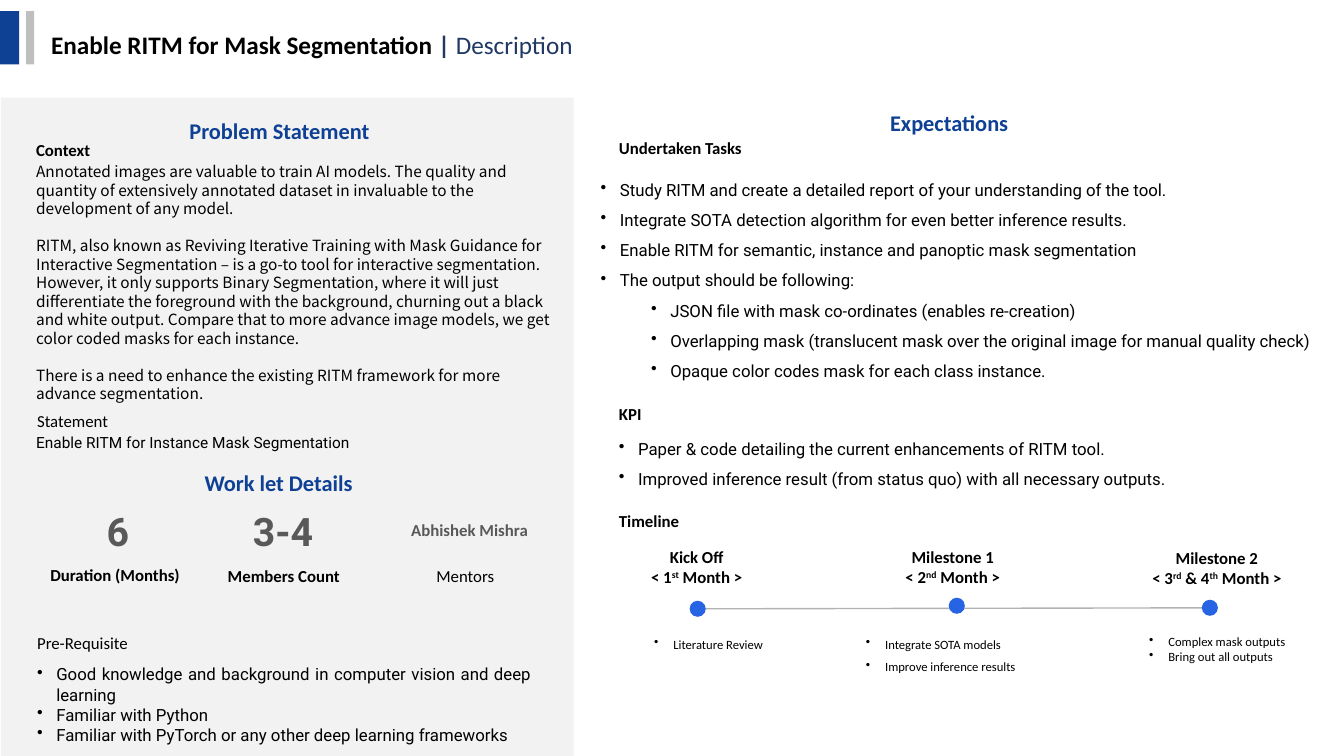
from dataclasses import dataclass

from lxml import etree
from pptx import Presentation
from pptx import util as u
from pptx.dml.color import RGBColor
from pptx.enum import shapes, text
from pptx.oxml.ns import qn


@dataclass(frozen=True)
class Theme:
    """Colours, fonts and type sizes of the slide."""
    blue: str = "0E4094"
    navy: str = "203864"
    dot: str = "2664E3"
    black: str = "000000"
    figure: str = "595959"
    panel: str = "F2F2F2"
    bar: str = "BFBFBF"
    rule: str = "B2B2B2"
    main: str = "Calibri"
    body: str = "Roboto"
    context: str = "Noto Sans CJK KR"
    title: int = 18
    heading: int = 16
    big: int = 28
    normal: int = 12
    small: int = 11
    note: int = 9
    context_line: float = 13.25


T = Theme()


def style(font, size=T.normal, name=T.main, color=T.black, bold=False):
    """Set the look of a paragraph or run font."""
    font.size, font.name, font.bold = u.Pt(size), name, bold
    font.color.rgb = RGBColor.from_string(color)


def add_block(slide, box, dx, dy, w, h, kind=shapes.MSO_SHAPE.RECTANGLE, fill=T.panel):
    """Draw a plain filled shape at an offset inside box."""
    sp = slide.shapes.add_shape(kind, u.Inches(box[0] + dx), u.Inches(box[1] + dy),
                                u.Inches(w), u.Inches(h))
    sp.shadow.inherit = False
    sp.fill.solid()
    sp.fill.fore_color.rgb = RGBColor.from_string(fill)
    sp.line.fill.background()
    return sp


def add_text(slide, box, dx, dy, w, h, lines, wrap=True, align=None, **look):
    """Place a text box at an offset inside box, one paragraph per line.

    A line is a string or a list of (text, is_superscript) runs."""
    sp = slide.shapes.add_textbox(u.Inches(box[0] + dx), u.Inches(box[1] + dy),
                                  u.Inches(w), u.Inches(h))
    tf = sp.text_frame
    tf.word_wrap = wrap
    tf.auto_size = text.MSO_AUTO_SIZE.SHAPE_TO_FIT_TEXT
    for i, line in enumerate(lines):
        p = tf.add_paragraph() if i else tf.paragraphs[0]
        p.alignment = align
        style(p.font, **look)
        for words, raised in [(line, False)] if isinstance(line, str) else line:
            r = p.add_run()
            r.text = words
            style(r.font, **look)
            if raised:
                r.font._element.set("baseline", "30000")
    return tf


def add_bullets(slide, box, dx, dy, w, h, items, spacing=None, nested=(), **look):
    """Place a bulleted list; items at the nested indexes go one level deeper."""
    tf = add_text(slide, box, dx, dy, w, h, items, **look)
    for i, p in enumerate(tf.paragraphs):
        p.level = int(i in nested)
        if spacing:
            p.line_spacing = spacing
        pPr = p._p.get_or_add_pPr()
        pPr.set("marL", str(u.Inches(0.19 + 0.5 * p.level)))
        pPr.set("indent", str(u.Inches(-0.19)))
        bullet = etree.Element(qn("a:buChar"), char="•")
        pPr.find(qn("a:defRPr")).addprevious(bullet)


def add_heading(slide, box, dx, dy, w, words):
    """Place a blue section heading."""
    add_text(slide, box, dx, dy, w, 0.37, [words], wrap=False,
             size=T.heading, color=T.blue, bold=True)


def add_label(slide, box, dx, dy, w, words, wrap=False, bold=True, color=T.black):
    """Place a one-line label."""
    add_text(slide, box, dx, dy, w, 0.3, [words], wrap=wrap, bold=bold, color=color)


def build_header(slide, box):
    """Two accent bars and the slide title."""
    add_block(slide, box, 0, 0, 0.19, box[3], fill=T.blue)
    add_block(slide, box, 0.26, 0, 0.08, box[3], fill=T.bar)
    tf = add_text(slide, box, 0.41, 0.13, 11.2, 0.4,
                  ["Enable RITM for Mask Segmentation "], size=T.title, bold=True)
    tf.vertical_anchor = text.MSO_ANCHOR.MIDDLE
    for words, bold in (("|", True), (" Description", False)):
        r = tf.paragraphs[0].add_run()
        r.text = words
        style(r.font, T.title, color=T.navy, bold=bold)


def build_problem(slide, box):
    """Problem statement: context and statement."""
    add_heading(slide, box, 1.77, 0.14, 2.18, "Problem Statement")
    add_label(slide, box, 0.25, 0.37, 0.8, "Context")
    tf = add_text(slide, box, 0.25, 0.59, 5.3, 2.5, [
        "Annotated images are valuable to train AI models. The quality and quantity of "
        "extensively annotated dataset in invaluable to the development of any model.",
        "RITM, also known as Reviving Iterative Training with Mask Guidance for Interactive "
        "Segmentation – is a go-to tool for interactive segmentation. However, it only "
        "supports Binary Segmentation, where it will just differentiate the foreground with "
        "the background, churning out a black and white output. Compare that to more advance "
        "image models, we get color coded masks for each instance.",
        "There is a need to enhance the existing RITM framework for more advance segmentation.",
    ], size=T.small, name=T.context)
    for i, p in enumerate(tf.paragraphs):
        p.line_spacing = u.Pt(T.context_line)
        p.space_before = u.Pt(T.context_line if i else 0)
    add_label(slide, box, 0.26, 3.06, 5.3, "Statement", wrap=True, bold=False)
    add_text(slide, box, 0.25, 3.28, 5.28, 0.29,
             ["Enable RITM for Instance Mask Segmentation"], size=T.small, name=T.body)


def build_details(slide, box):
    """Worklet details: key figures, mentor and prerequisites."""
    add_heading(slide, box, 1.92, 0, 1.82, "Work let Details")
    for dx, w, figure in ((0.95, 0.42, "6"), (2.4, 0.8, "3-4")):
        add_text(slide, box, dx, 0.37, w, 0.57, [figure], wrap=False,
                 size=T.big, name=T.body, color=T.figure, bold=True)
    add_label(slide, box, 3.97, 0.5, 1.46, "Abhishek Mishra", color=T.figure)
    add_label(slide, box, 0.39, 0.94, 1.58, "Duration (Months)")
    add_label(slide, box, 2.15, 0.95, 1.39, "Members Count")
    add_label(slide, box, 4.22, 0.95, 1.14, "Mentors", wrap=True, bold=False)
    add_label(slide, box, 0.26, 1.62, 5.3, "Pre-Requisite", wrap=True, bold=False)
    add_bullets(slide, box, 0.26, 1.93, 5.1, 0.91, [
        "Good knowledge and background in computer vision and deep learning",
        "Familiar with Python",
        "Familiar with PyTorch or any other deep learning frameworks",
    ], align=text.PP_ALIGN.JUSTIFY, name=T.body)


def build_expectations(slide, box):
    """Expected tasks and KPI."""
    add_heading(slide, box, 2.87, 0, 1.51, "Expectations")
    add_label(slide, box, 0.18, 0.29, 1.55, "Undertaken Tasks")
    add_bullets(slide, box, 0, 0.6, 7.43, 2.22, [
        "Study RITM and create a detailed report of your understanding of the tool.",
        "Integrate SOTA detection algorithm for even better inference results.",
        "Enable RITM for semantic, instance and panoptic mask segmentation",
        "The output should be following:",
        "JSON file with mask co-ordinates (enables re-creation)",
        "Overlapping mask (translucent mask over the original image for manual quality check)",
        "Opaque color codes mask for each class instance.",
    ], spacing=1.5, nested=(4, 5, 6), name=T.body)
    add_label(slide, box, 0.18, 2.93, 0.45, "KPI")
    add_bullets(slide, box, 0.18, 3.17, 6.9, 0.71, [
        "Paper & code detailing the current enhancements of RITM tool.",
        "Improved inference result (from status quo) with all necessary outputs.",
    ], spacing=1.5, name=T.body)


def build_timeline(slide, box):
    """Timeline rule with a dot, a caption and notes for each milestone."""
    x, y = box[:2]
    add_label(slide, box, 0, 0, 0.86, "Timeline")
    rule = slide.shapes.add_connector(shapes.MSO_CONNECTOR.STRAIGHT, u.Inches(x + 0.95),
                                      u.Inches(y + 1.02), u.Inches(x + 6.03), u.Inches(y + 1.01))
    rule.line.color.rgb = RGBColor.from_string(T.rule)
    rule.line.width = u.Pt(1)
    etree.SubElement(rule._element.spPr, qn("a:effectLst"))
    # dot offset, caption (dx, dy, w), caption lines, notes (dx, dy, w), spacing, notes
    milestones = (
        ((0.8, 0.94), (0.3, 0.35, 1.14),
         ["Kick Off", [("< 1", False), ("st", True), (" Month >", False)]],
         (0.35, 1.17, 2.1), 1.5, ["Literature Review"]),
        ((3.37, 0.91), (2.78, 0.35, 1.26),
         ["Milestone 1", [("< 2", False), ("nd", True), (" Month >", False)]],
         (2.45, 1.17, 2.48), 1.5, ["Integrate SOTA models", "Improve inference results"]),
        ((5.88, 0.93), (5.26, 0.36, 1.54),
         ["Milestone 2", [("< 3", False), ("rd", True), (" & 4", False), ("th", True),
                          (" Month >", False)]],
         (5.26, 1.22, 1.64), None, ["Complex mask outputs", "Bring out all outputs"]),
    )
    for dot, caption_at, caption, notes_at, spacing, notes in milestones:
        add_block(slide, box, *dot, 0.16, 0.16, shapes.MSO_SHAPE.OVAL, T.dot)
        add_text(slide, box, *caption_at, 0.5, caption, align=text.PP_ALIGN.CENTER, bold=True)
        add_bullets(slide, box, *notes_at, 0.27 * len(notes), notes, spacing, size=T.note)


prs = Presentation()
prs.slide_width, prs.slide_height = u.Inches(13.33), u.Inches(7.5)
slide = prs.slides.add_slide(prs.slide_layouts[6])
panel = (0.01, 0.97, 5.68, 6.53)
add_block(slide, panel, 0, 0, *panel[2:])
build_header(slide, (0, 0.11, 11.61, 0.53))
build_problem(slide, panel)
build_details(slide, (0.01, 4.61, 5.68, 2.89))
build_expectations(slide, (5.86, 1.03, 7.43, 3.88))
build_timeline(slide, (6.04, 5.02, 6.9, 1.78))
prs.save("out.pptx")
